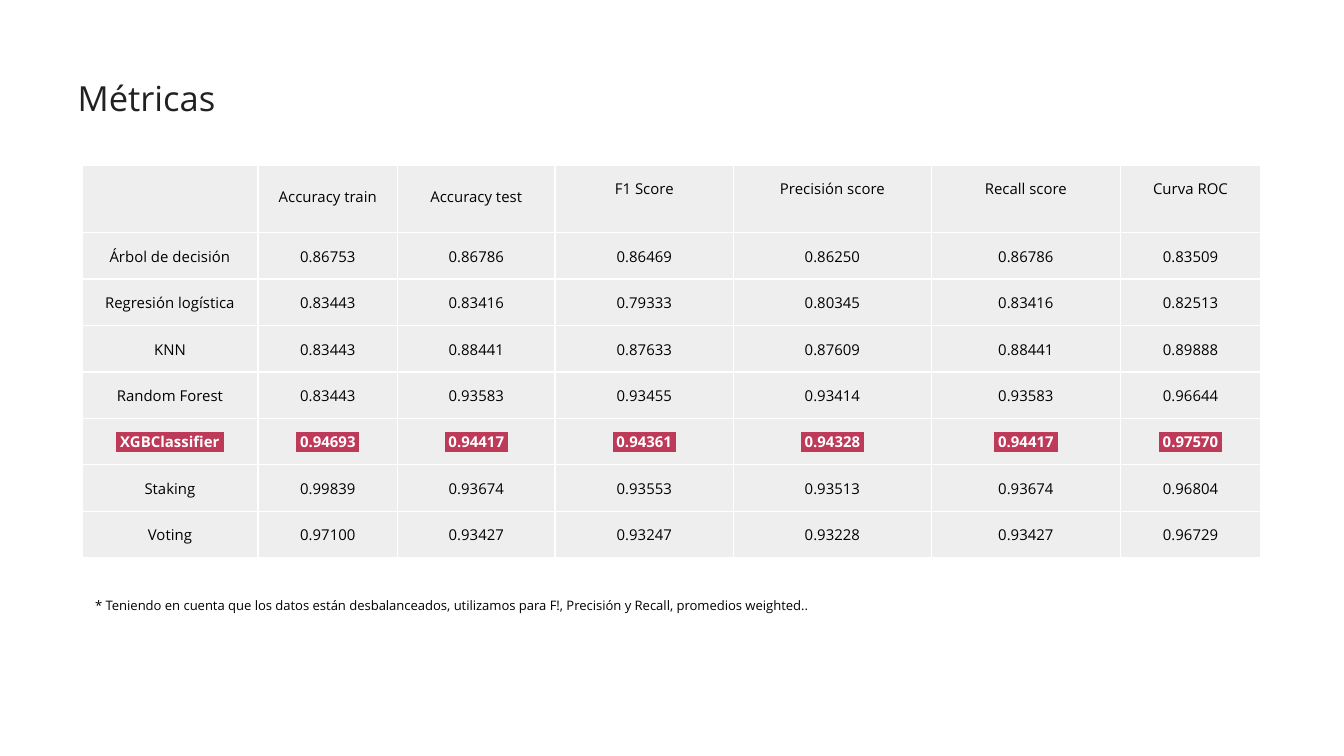
"""Build a slide with a table of classification metrics per model."""
from lxml import etree
from pptx import Presentation
from pptx import util as u
from pptx.dml.color import RGBColor
from pptx.enum import text
from pptx.oxml import ns

BLACK = RGBColor(0x00, 0x00, 0x00)
CHARCOAL = RGBColor(0x21, 0x21, 0x21)
WHITE = RGBColor(0xFF, 0xFF, 0xFF)
GRAY = RGBColor(0xEE, 0xEE, 0xEE)
CRIMSON = RGBColor(0xBD, 0x3A, 0x59)

TITLE = "Métricas"
NOTE = (
    "* Teniendo en cuenta que los datos están desbalanceados, utilizamos para F!, "
    "Precisión y Recall, promedios weighted.."
)
METRICS = [
    ("", "Accuracy train", "Accuracy test", "F1 Score", "Precisión score", "Recall score", "Curva ROC"),
    ("Árbol de decisión", "0.86753", "0.86786", "0.86469", "0.86250", "0.86786", "0.83509"),
    ("Regresión logística", "0.83443", "0.83416", "0.79333", "0.80345", "0.83416", "0.82513"),
    ("KNN", "0.83443", "0.88441", "0.87633", "0.87609", "0.88441", "0.89888"),
    ("Random Forest", "0.83443", "0.93583", "0.93455", "0.93414", "0.93583", "0.96644"),
    ("XGBClassifier", "0.94693", "0.94417", "0.94361", "0.94328", "0.94417", "0.97570"),
    ("Staking", "0.99839", "0.93674", "0.93553", "0.93513", "0.93674", "0.96804"),
    ("Voting", "0.97100", "0.93427", "0.93247", "0.93228", "0.93427", "0.96729"),
]
BEST_MODEL = "XGBClassifier"
TALL_HEADERS = ("Accuracy train", "Accuracy test")
SLIDE_WIDTH = u.Inches(10)
SLIDE_HEIGHT = SLIDE_WIDTH * 9 // 16
COLUMN_WIDTHS = [1.31, 1.04, 1.17, 1.33, 1.47, 1.41, 1.04]
HEADER_HEIGHT, BODY_HEIGHT = 0.49, 2.42
PADDING = chr(160)
MARGINS = {f"margin_{side}": u.Inches(0.1) for side in ("left", "top", "right", "bottom")}


def apply_format(target, values):
    for name, value in values.items():
        setattr(target, name, value)


def write(paragraph, content, size, color, bold=False):
    run = paragraph.add_run()
    run.text = content
    apply_format(run.font, {"name": "Open Sans", "size": u.Pt(size), "bold": bold})
    run.font.color.rgb = color
    return run


def highlight(run, color):
    fill = run.font._element.find(ns.qn("a:solidFill"))
    mark = etree.Element(ns.qn("a:highlight"))
    etree.SubElement(mark, ns.qn("a:srgbClr"), val=str(color))
    fill.addnext(mark)


def add_borders(cell, color, width):
    properties = cell._tc.get_or_add_tcPr()
    for index, side in enumerate("LRTB"):
        line = etree.Element(ns.qn(f"a:ln{side}"), w=str(u.Pt(width)))
        fill = etree.SubElement(line, ns.qn("a:solidFill"))
        etree.SubElement(fill, ns.qn("a:srgbClr"), val=str(color))
        properties.insert(index, line)


def add_text(slide, box, content, size, color, spacing):
    frame = slide.shapes.add_textbox(*map(u.Inches, box)).text_frame
    apply_format(frame, {"word_wrap": True, **MARGINS})
    paragraph = frame.paragraphs[0]
    apply_format(paragraph, spacing)
    write(paragraph, content, size, color)


def fill_cell(cell, content, is_best):
    apply_format(cell, MARGINS)
    cell.fill.solid()
    cell.fill.fore_color.rgb = GRAY
    add_borders(cell, WHITE, 0.75)
    if not content:
        return
    paragraph = cell.text_frame.paragraphs[0]
    paragraph.alignment = text.PP_ALIGN.CENTER
    if content in TALL_HEADERS:
        paragraph.line_spacing = 1.36
    if is_best:
        run = write(paragraph, PADDING + content + PADDING, 8, WHITE, True)
        highlight(run, CRIMSON)
    else:
        write(paragraph, content, 8, BLACK)


def add_metrics_table(slide):
    body_rows = len(METRICS) - 1
    heights = [HEADER_HEIGHT] + [BODY_HEIGHT / body_rows] * body_rows
    box = (0.61, 1.23, sum(COLUMN_WIDTHS), sum(heights))
    table = slide.shapes.add_table(len(heights), len(COLUMN_WIDTHS), *map(u.Inches, box)).table
    apply_format(table, {"first_row": False, "horz_banding": False})
    for column, width in zip(table.columns, COLUMN_WIDTHS):
        column.width = u.Inches(width)
    for row, height, values in zip(table.rows, heights, METRICS):
        row.height = u.Inches(height)
        for cell, content in zip(row.cells, values):
            fill_cell(cell, content, values[0] == BEST_MODEL)


def main():
    presentation = Presentation()
    apply_format(presentation, {"slide_width": SLIDE_WIDTH, "slide_height": SLIDE_HEIGHT})
    slide = presentation.slides.add_slide(presentation.slide_layouts[6])
    title_spacing = {"line_spacing": 1.15, "space_before": u.Pt(12), "space_after": u.Pt(12)}
    add_text(slide, (0.48, 0.43, 9.17, 0.51), TITLE, 18.5, CHARCOAL, title_spacing)
    add_metrics_table(slide)
    add_text(slide, (0.61, 4.39, 7.73, 0.32), NOTE, 7, BLACK, {})
    presentation.save("out.pptx")


if __name__ == "__main__":
    main()
